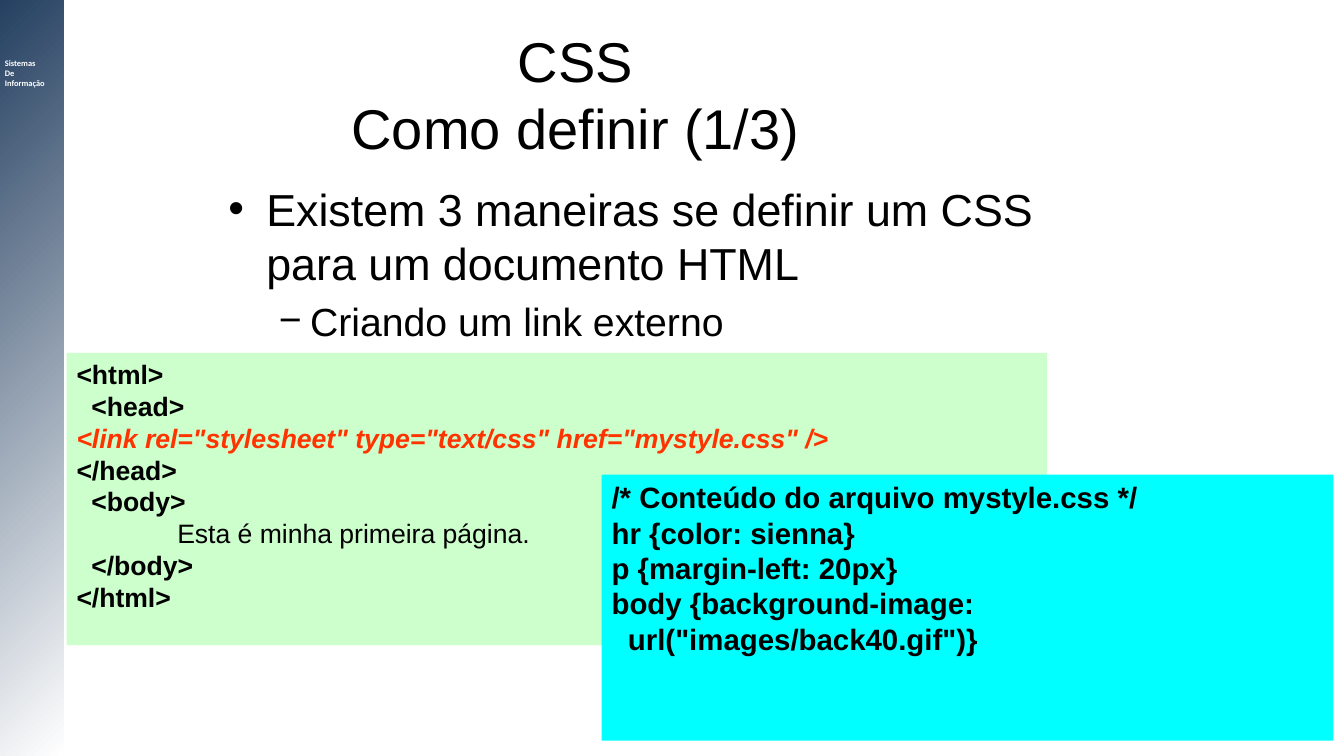
import pptx
import pptx.dml.color
import pptx.enum.shapes
import pptx.enum.text
import pptx.util
import lxml.etree

Pt = pptx.util.Pt
ANCHOR = pptx.enum.text.MSO_ANCHOR
ALIGN = pptx.enum.text.PP_ALIGN
COLORS = {
    "black": "000000",
    "white": "FFFFFF",
    "navy": "254061",
    "green": "CCFFCC",
    "cyan": "00FFFF",
    "red": "FF3300",
}


def rgb(name):
    return pptx.dml.color.RGBColor.from_string(COLORS[name])


class SlideBuilder:
    font = "Arial"

    def __init__(self, page):
        self.page = page

    def span(self, para, text, size, color="black", bold=False, italic=False, font=None):
        span = para.add_run()
        span.text = text
        span.font.name = font or self.font
        span.font.size = Pt(size)
        span.font.bold = bold
        span.font.italic = italic
        span.font.color.rgb = rgb(color)

    def frame(self, box, anchor=ANCHOR.TOP):
        frame = box.text_frame
        frame.word_wrap = True
        frame.auto_size = pptx.enum.text.MSO_AUTO_SIZE.NONE
        frame.vertical_anchor = anchor
        frame.margin_left = frame.margin_right = Pt(7.2)
        frame.margin_top = frame.margin_bottom = Pt(3.6)
        return frame

    def paras(self, frame, count):
        return [frame.paragraphs[0]] + [frame.add_paragraph() for _ in range(count - 1)]

    def indent(self, para, margin, first=0):
        properties = para._p.get_or_add_pPr()
        properties.set("marL", str(Pt(margin)))
        properties.set("indent", str(Pt(first)))
        return properties

    def place(self, box, left, top, width, height):
        box.left, box.top, box.width, box.height = map(Pt, (left, top, width, height))

    def rectangle(self, left, top, width, height):
        box = self.page.shapes.add_shape(
            pptx.enum.shapes.MSO_SHAPE.RECTANGLE, *map(Pt, (left, top, width, height)))
        box.shadow.inherit = False
        box.line.fill.background()
        return box

    def sidebar(self, width, height):
        fill = self.rectangle(0, 0, width, height).fill
        fill.gradient()
        fill.gradient_angle = 135
        for stop, position, color in zip(fill.gradient_stops, (0, 1), ("white", "navy")):
            stop.position = position
            stop.color.rgb = rgb(color)

    def label(self, lines, left, top, width, height):
        box = self.page.shapes.add_textbox(*map(Pt, (left, top, width, height)))
        for para, text in zip(self.paras(self.frame(box), len(lines)), lines):
            self.span(para, text, 6, "white", bold=True, font="Calibri")

    def title(self, lines, left, top, width, height):
        box = self.page.shapes.title
        self.place(box, left, top, width, height)
        para = self.frame(box, ANCHOR.MIDDLE).paragraphs[0]
        para.alignment = ALIGN.CENTER
        for number, text in enumerate(lines):
            if number:
                para.add_line_break()
            self.span(para, text, 40)

    def bullets(self, items, left, top, width, height):
        box = self.page.placeholders[1]
        self.place(box, left, top, width, height)
        for para, item in zip(self.paras(self.frame(box), len(items)), items):
            level, text, size, mark, margin, first = item
            para.level = level
            para.space_before = Pt(size / 5)
            properties = self.indent(para, margin, first)
            bullet = lxml.etree.SubElement(properties, pptx.oxml.ns.qn("a:buChar"))
            bullet.set("char", mark)
            self.span(para, text, size)

    def code(self, lines, size, fill, left, top, width, height):
        box = self.rectangle(left, top, width, height)
        box.fill.solid()
        box.fill.fore_color.rgb = rgb(fill)
        for para, (margin, text, style) in zip(self.paras(self.frame(box), len(lines)), lines):
            para.alignment = ALIGN.LEFT
            self.indent(para, margin)
            self.span(para, text, size, **style)


def main():
    deck = pptx.Presentation()
    deck.slide_width, deck.slide_height = Pt(960), Pt(540)
    builder = SlideBuilder(deck.slides.add_slide(deck.slide_layouts[1]))
    strong = {"bold": True}
    link = {"bold": True, "italic": True, "color": "red"}

    builder.sidebar(45.5, 540)
    builder.label(["Sistemas", "De", "Informação"], -3.6, 38.2, 72, 40.3)
    builder.title(["CSS", "Como definir (1/3)"], 156, 21.6, 510, 90)
    builder.bullets([
        (0, "Existem 3 maneiras se definir um CSS para um documento HTML", 32, "•", 27, -27),
        (1, "Criando um link externo", 28, "−", 58.3, -22.3),
    ], 156, 126, 648, 132)
    builder.code([
        (0, "<html>", strong),
        (10.6, "<head>", strong),
        (0, '<link rel="stylesheet" type="text/css" href="mystyle.css" />', link),
        (0, "</head>", strong),
        (10.6, "<body>", strong),
        (72, "Esta é minha primeira página.", {}),
        (10.6, "</body>", strong),
        (0, "</html>", strong),
    ], 19, "green", 47.6, 252, 700.5, 208.8)
    builder.code([
        (0, "/* Conteúdo do arquivo mystyle.css */", strong),
        (0, "hr {color: sienna}", strong),
        (0, "p {margin-left: 20px}", strong),
        (0, "body {background-image:", strong),
        (11.7, 'url("images/back40.gif")}', strong),
    ], 21, "cyan", 429.8, 339, 522.7, 190)
    deck.save("out.pptx")


if __name__ == "__main__":
    main()
